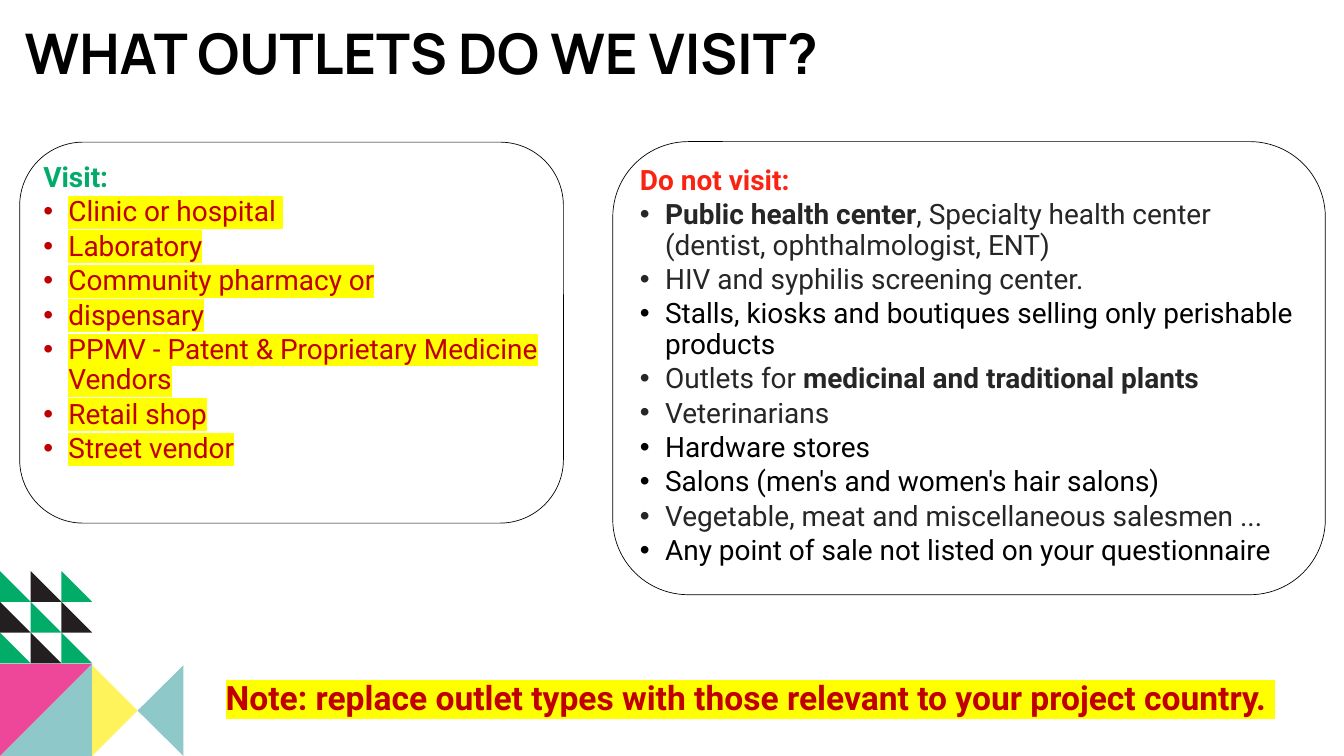
from lxml import etree
from pptx import Presentation
from pptx.dml.color import RGBColor
from pptx.enum.text import MSO_ANCHOR, MSO_AUTO_SIZE, PP_ALIGN
from pptx.oxml.ns import qn
from pptx.util import Inches, Pt

TOP, MIDDLE = MSO_ANCHOR.TOP, MSO_ANCHOR.MIDDLE
FIXED, LEFT = MSO_AUTO_SIZE.NONE, PP_ALIGN.LEFT
GREEN, BLACK, INK = "00AC68", "000000", "262626"
RED, BRIGHT, YELLOW = "C00000", "FA2312", "FFFF00"
COAL, PINK, TEAL, LEMON = "231F20", "EE4799", "8EC8C8", "FFF35C"

TITLE = "WHAT OUTLETS DO WE VISIT?"
NOTE = "Note: replace outlet types with those relevant to your project country. "
VISIT = ["Clinic or hospital ", "Laboratory", "Community pharmacy or", "dispensary",
         "PPMV - Patent & Proprietary Medicine Vendors", "Retail shop", "Street vendor"]
AVOID = [
    [("Public health center", INK, True),
     (", Specialty health center (dentist, ophthalmologist, ENT)", INK, False)],
    [("HIV and syphilis screening center.", INK, False)],
    [("Stalls, kiosks and boutiques selling only perishable products", BLACK, False)],
    [("Outlets for ", INK, False), ("medicinal and traditional plants", INK, True)],
    [("Veterinarians", INK, False)],
    [("Hardware stores", BLACK, False)],
    [("Salons (men's and women's hair salons)", BLACK, False)],
    [("Vegetable, meat and miscellaneous salesmen ...", INK, False)],
    [("Any point of sale not listed on your questionnaire", BLACK, False)],
]
PANELS = [
    ((0.39, 2.82, 10.79, 7.56), ("Visit:", GREEN, True),
     [[(text, RED, False)] for text in VISIT], YELLOW),
    ((12.16, 2.81, 14.14, 8.99), ("Do not visit:", BRIGHT, True), AVOID, None),
]
LARGE = [
    (TEAL, [(1.83, 15), (1.83, 13.17), (0, 15)]),
    (PINK, [(0, 13.17), (1.83, 13.17), (0, 15)]),
    (LEMON, [(1.83, 13.2), (2.73, 14.1), (1.83, 15)]),
    (TEAL, [(2.73, 14.1), (3.64, 13.2), (3.64, 15)]),
]
SIDE, START = 0.61, 11.33


def color(code):
    return RGBColor.from_string(code)


def apply(item, values):
    for name, value in values.items():
        setattr(item, name, value)


def place(shape, box):
    apply(shape, dict(zip(("left", "top", "width", "height"), map(Inches, box))))


def set_frame(shape, anchor):
    frame = shape.text_frame
    apply(frame, {"word_wrap": True, "auto_size": FIXED, "vertical_anchor": anchor})
    return frame


def add_run(para, text, code, bold, size, face="Roboto", glow=None):
    run = para.add_run()
    run.text = text
    apply(run.font, {"size": Pt(size), "name": face, "bold": bold})
    run.font.color.rgb = color(code)
    if glow:
        mark = etree.Element(qn("a:highlight"))
        etree.SubElement(mark, qn("a:srgbClr"), val=glow)
        run.font.fill
        run._r.rPr.find(qn("a:solidFill")).addnext(mark)


def set_bullet(para, char):
    props = para._p.get_or_add_pPr()
    props.set("marL", str(Inches(0.5)))
    props.set("indent", str(-Inches(0.5)))
    if char:
        etree.SubElement(props, qn("a:buFont"), typeface="Arial")
        etree.SubElement(props, qn("a:buChar"), char=char)
    else:
        etree.SubElement(props, qn("a:buNone"))


def fill_panel(shape, box, head, items, glow):
    place(shape, box)
    geom = etree.Element(qn("a:prstGeom"), prst="roundRect")
    etree.SubElement(geom, qn("a:avLst"))
    shape._element.spPr.find(qn("a:xfrm")).addnext(geom)
    shape.fill.solid()
    shape.fill.fore_color.rgb = color("FFFFFF")
    shape.line.color.rgb = color(BLACK)
    shape.line.width = Pt(1)
    frame = set_frame(shape, TOP)
    for row, runs in enumerate([[head]] + items):
        para = frame.add_paragraph() if row else frame.paragraphs[0]
        set_bullet(para, "•" if row else None)
        apply(para, {"line_spacing": 0.9, "space_before": Pt(1 if row else 0),
                     "space_after": Pt(5), "alignment": LEFT})
        for text, code, bold in runs:
            add_run(para, text, code, bold, 40, glow=glow if row else None)


def add_triangle(slide, code, points):
    spots = [(Inches(x), Inches(y)) for x, y in points]
    build = slide.shapes.build_freeform(*spots[0])
    build.add_line_segments(spots[1:], close=True)
    shape = build.convert_to_shape()
    shape.shadow.inherit = False
    shape.fill.solid()
    shape.fill.fore_color.rgb = color(code)
    shape.line.fill.background()


def main():
    """Build the outlet slide and save it."""
    deck = Presentation()
    deck.slide_width, deck.slide_height = Inches(26.67), Inches(15)
    slide = deck.slides.add_slide(deck.slide_layouts[3])
    title, *bodies = slide.placeholders

    for code, points in LARGE:
        add_triangle(slide, code, points)
    for cell in range(9):
        row, col = divmod(cell, 3)
        x, y = col * SIDE, START + row * SIDE
        add_triangle(slide, COAL if cell % 2 else GREEN,
                     [(x, y), (x + SIDE, y + SIDE), (x, y + SIDE)])

    for shape, panel in zip(bodies, PANELS):
        fill_panel(shape, *panel)

    place(title, (0.39, 0.46, 16.56, 1.32))
    para = set_frame(title, MIDDLE).paragraphs[0]
    apply(para, {"line_spacing": 0.9, "alignment": LEFT})
    add_run(para, TITLE, BLACK, True, 80, "Manrope")

    note = slide.shapes.add_textbox(*map(Inches, (4.38, 13.39, 22.2, 0.91)))
    para = set_frame(note, TOP).paragraphs[0]
    add_run(para, NOTE, RED, True, 48, glow=YELLOW)
    deck.save("out.pptx")


if __name__ == "__main__":
    main()
